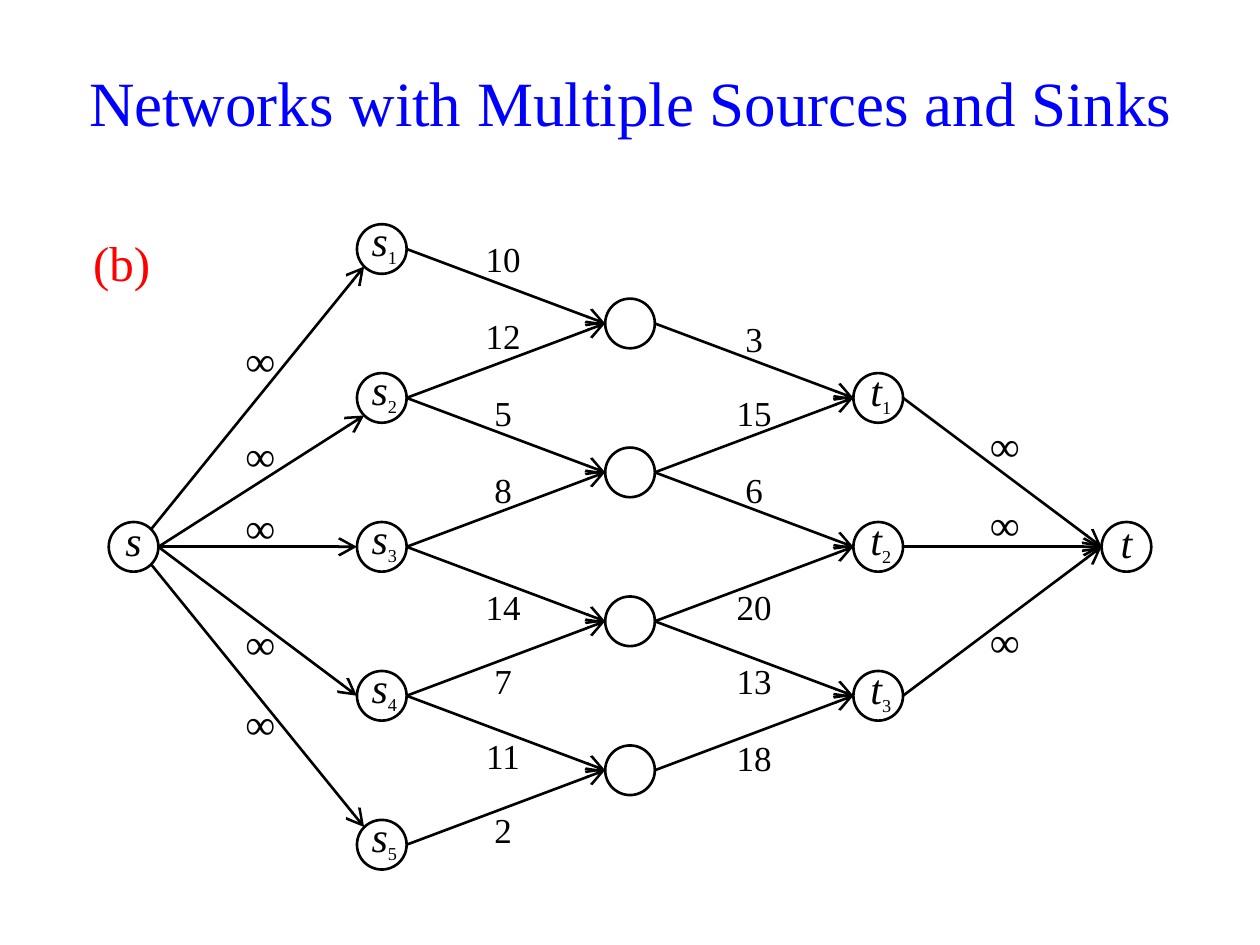
from lxml import etree
from pptx import Presentation
from pptx.dml.color import RGBColor
from pptx.enum.shapes import MSO_CONNECTOR, MSO_SHAPE
from pptx.enum.text import MSO_ANCHOR, PP_ALIGN
from pptx.oxml.ns import qn
from pptx.util import Inches, Pt

RECTANGLE, CIRCLE = MSO_SHAPE.RECTANGLE, MSO_SHAPE.OVAL
STRAIGHT = MSO_CONNECTOR.STRAIGHT
MIDDLE = MSO_ANCHOR.MIDDLE
CENTER = PP_ALIGN.CENTER

BLACK = RGBColor(0x00, 0x00, 0x00)
WHITE = RGBColor(0xFF, 0xFF, 0xFF)
BLUE = RGBColor(0x00, 0x00, 0xFF)
RED = RGBColor(0xFF, 0x00, 0x00)
FONT = "Times New Roman"

# Grid: columns and rows are counted in units from the network's centre.
UNIT = 0.197
CENTER_X, CENTER_Y = 5.0, 4.34
DIAMETER = 2 * UNIT

# Points on a node's rim, as shares of its radius.
RIGHT_RIM, LEFT_RIM = (1, 0), (-1, 0)
UPPER_RIGHT, LOWER_RIGHT = (0.71, -0.71), (0.71, 0.71)
UPPER_LEFT, LOWER_LEFT = (-0.71, -0.71), (-0.71, 0.71)

# Node: column, row, bottom inset of its name
NODES = {
    "s": (-20, 0, 0.12),
    **{f"s{i + 1}": (-10, 6 * i - 12, 0.12) for i in range(5)},
    **{f"v{i + 1}": (0, 6 * i - 9, 0) for i in range(4)},
    **{f"t{i + 1}": (10, 6 * i - 6, 0.1) for i in range(3)},
    "t": (20, 0, 0.08),
}

# Edge: from, to, capacity, label row, label's downward (+) or upward (-) inset
EDGES = [
    ("s", "s1", "∞", -7, -0.16),
    ("s", "s2", "∞", -4, 0.16),
    ("s", "s3", "∞", -1, 0.12),
    ("s", "s4", "∞", 4, 0),
    ("s", "s5", "∞", 7, 0.08),
    ("s1", "v1", "10", -12, 0.2),
    ("s2", "v1", "12", -8, -0.16),
    ("s2", "v2", "5", -5, -0.12),
    ("s3", "v2", "8", -2, -0.08),
    ("s3", "v3", "14", 2, 0.2),
    ("s4", "v3", "7", 5, 0.2),
    ("s4", "v4", "11", 8, 0.2),
    ("s5", "v4", "2", 11, 0.2),
    ("v1", "t1", "3", -8, -0.12),
    ("v2", "t1", "15", -5, -0.12),
    ("v2", "t2", "6", -2, -0.08),
    ("v3", "t2", "20", 2, 0.2),
    ("v3", "t3", "13", 5, 0.2),
    ("v4", "t3", "18", 9, -0.16),
    ("t1", "t", "∞", -4, 0),
    ("t2", "t", "∞", -1, 0.08),
    ("t3", "t", "∞", 4, -0.04),
]
STEEP_EDGES = {
    ("s", "s1"): (UPPER_RIGHT, LOWER_LEFT),
    ("s", "s2"): (RIGHT_RIM, LOWER_LEFT),
    ("s", "s5"): (LOWER_RIGHT, UPPER_LEFT),
}


def grid_point(column, row):
    return CENTER_X + column * UNIT, CENTER_Y + row * UNIT


def add_run(paragraph, text, size, color=BLACK, italic=False):
    run = paragraph.add_run()
    run.text = text
    run.font.name = FONT
    run.font.size = Pt(size)
    run.font.italic = italic
    run.font.color.rgb = color
    return run


def set_frame(shape, insets, wrap=False):
    """Lay out the shape's text and return its first paragraph."""
    frame = shape.text_frame
    frame.word_wrap = wrap
    frame.vertical_anchor = MIDDLE
    (frame.margin_left, frame.margin_top,
     frame.margin_right, frame.margin_bottom) = map(Inches, insets)
    paragraph = frame.paragraphs[0]
    paragraph.alignment = CENTER
    return paragraph


def add_outlined(slide, preset, left, top, width, color, weight):
    shape = slide.shapes.add_shape(
        preset, *map(Inches, (left, top, width, DIAMETER)))
    shape.shadow.inherit = False
    shape.line.color.rgb = color
    shape.line.width = Pt(weight)
    return shape


def add_capacity(slide, source, target, capacity, row, shift):
    middle = (NODES[source][0] + NODES[target][0]) / 2
    x, y = grid_point(middle, row)
    width = 0.35 if middle == -5 else DIAMETER
    label = add_outlined(slide, RECTANGLE, x - UNIT, y - UNIT, width, WHITE, 0.75)
    label.fill.background()
    endless = capacity == "∞"
    insets = (0.1, max(shift, 0), 0.1, max(-shift, 0))
    paragraph = set_frame(label, insets, wrap=endless)
    paragraph.line_spacing = 0.9
    add_run(paragraph, capacity, 24 if endless else 20)


def add_node(slide, name):
    """Draw a node; inner nodes (v) carry no name."""
    column, row, bottom = NODES[name]
    x, y = grid_point(column, row)
    node = add_outlined(slide, CIRCLE, x - UNIT, y - UNIT, DIAMETER, BLACK, 1.5)
    node.fill.solid()
    node.fill.fore_color.rgb = WHITE
    letter, index = name[0], name[1:]
    if letter == "v":
        return
    paragraph = set_frame(node, (0.04 if index else 0, 0, 0, bottom))
    add_run(paragraph, letter, 24, italic=True)
    if index:
        subscript = add_run(paragraph, index, 18)
        subscript.font._element.set("baseline", "-25000")


def rim_point(name, direction):
    x, y = grid_point(*NODES[name][:2])
    return Inches(x + direction[0] * UNIT), Inches(y + direction[1] * UNIT)


def add_edge(slide, source, target):
    leave, arrive = STEEP_EDGES.get((source, target), (RIGHT_RIM, LEFT_RIM))
    edge = slide.shapes.add_connector(
        STRAIGHT, *rim_point(source, leave), *rim_point(target, arrive))
    edge.line.color.rgb = BLACK
    edge.line.width = Pt(1.5)
    etree.SubElement(edge.line._get_or_add_ln(), qn("a:tailEnd"),
                     type="arrow", w="lg", len="lg")
    etree.SubElement(edge._element.spPr, qn("a:effectLst"))


def add_text(slide, text, box, size, color, insets):
    caption = slide.shapes.add_textbox(*map(Inches, box))
    add_run(set_frame(caption, insets, wrap=True), text, size, color)


def main():
    prs = Presentation()
    prs.slide_width, prs.slide_height = Inches(10), Inches(7.5)
    slide = prs.slides.add_slide(prs.slide_layouts[6])

    for edge in EDGES:
        add_capacity(slide, *edge)
    for name in NODES:
        add_node(slide, name)
    for source, target, *_ in EDGES:
        add_edge(slide, source, target)

    add_text(slide, "Networks with Multiple Sources and Sinks",
             (0.28, 0.21, 9.45, 1.18), 36, BLUE, (0.1, 0.05, 0.1, 0.05))
    add_text(slide, "(b)", (0.67, 1.78, 0.59, 0.59), 28, RED, (0, 0, 0, 0))
    prs.save("out.pptx")


if __name__ == "__main__":
    main()
